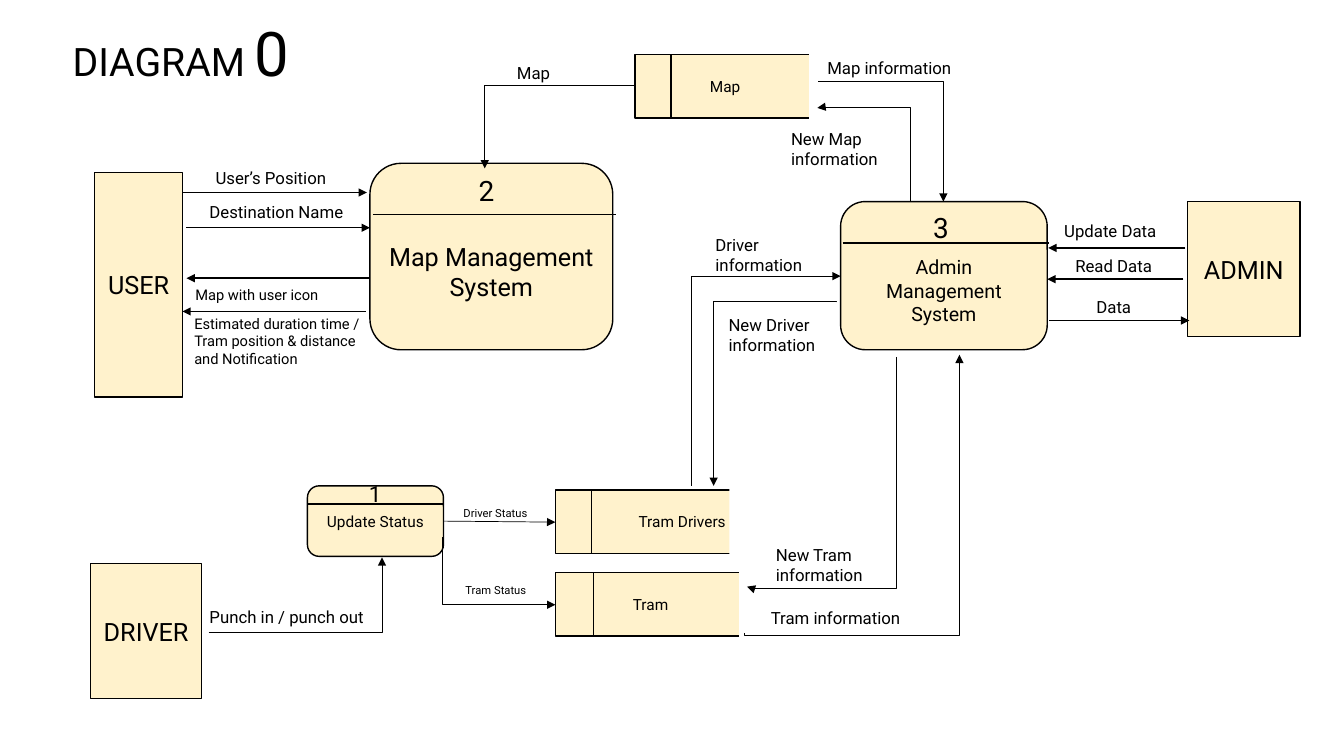
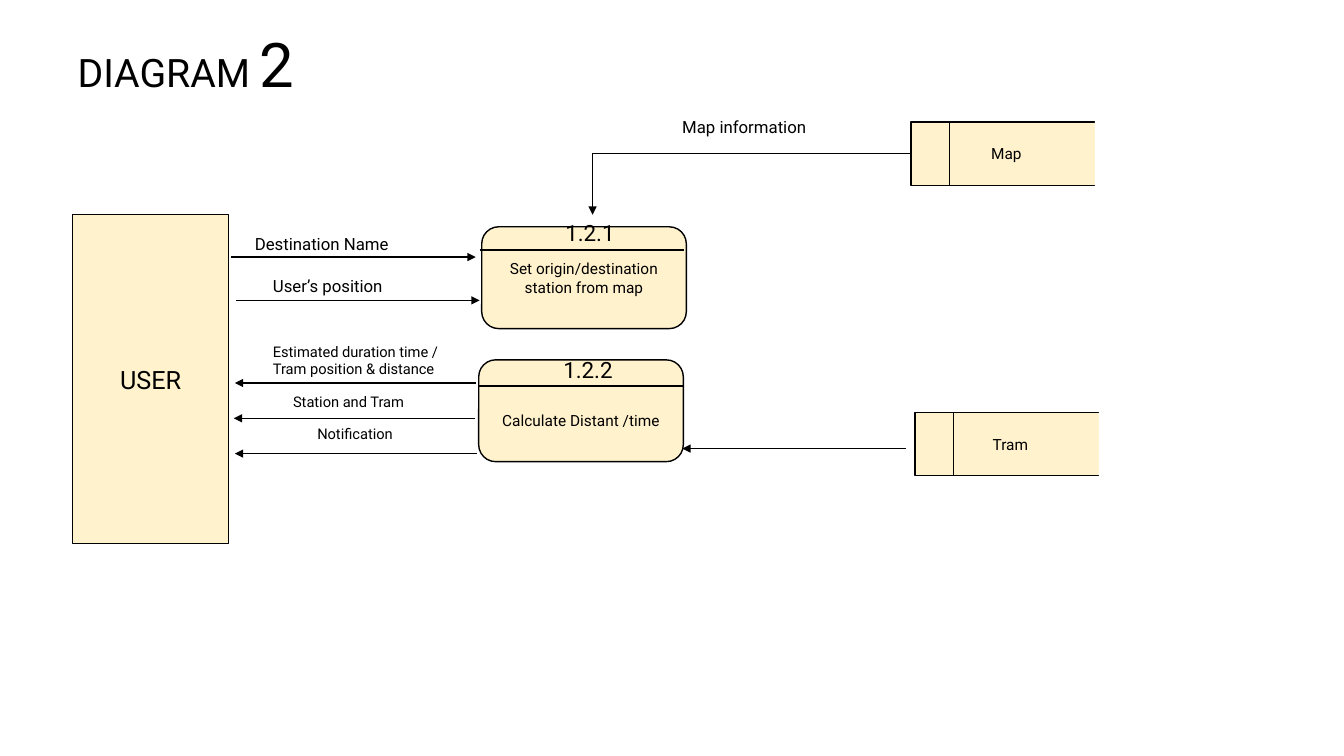
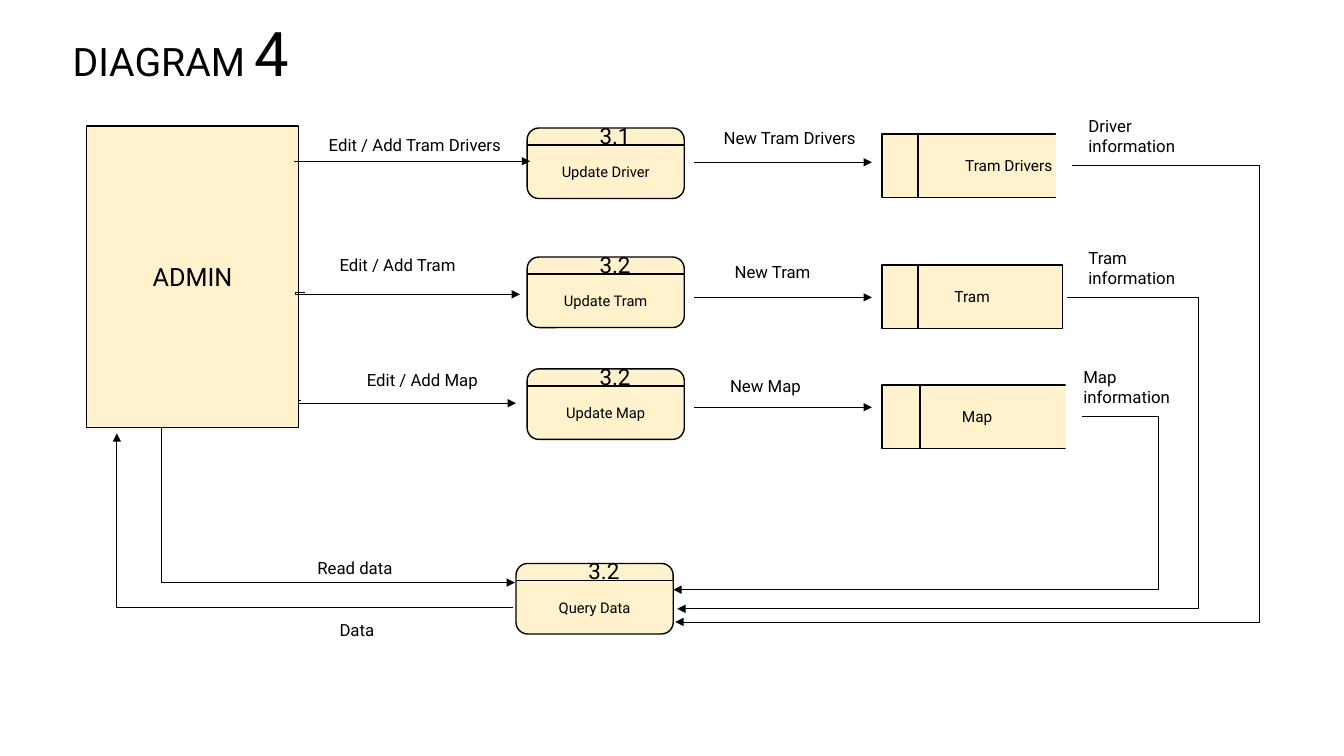
"""Three data-flow diagrams of a tram tracking system."""
from dataclasses import dataclass

from lxml import etree
from pptx import Presentation
from pptx import util as u
from pptx.dml.color import RGBColor
from pptx.enum import shapes, text
from pptx.oxml.ns import qn

UNIT = 2.54  # centimetres in one step of the drawing grid
LEFT, CENTER, RIGHT = text.PP_ALIGN.LEFT, text.PP_ALIGN.CENTER, text.PP_ALIGN.RIGHT
TOP, MIDDLE = text.MSO_ANCHOR.TOP, text.MSO_ANCHOR.MIDDLE


@dataclass(frozen=True)
class Theme:
    """Colours, font, type sizes and line widths of the deck."""
    font: str = "Roboto"
    ink: str = "000000"
    paper: str = "FFFFFF"
    cream: str = "FFF2CC"
    title: float = 28
    title_number: float = 44
    entity: float = 18
    big_number: float = 20
    number: float = 16
    medium: float = 14
    label: float = 12
    body: float = 11
    small: float = 10.5
    tiny: float = 8
    line: float = 1
    thin: float = 0.5


T = Theme()


def grid(value):
    """Turn grid steps into a length."""
    return u.Cm(value * UNIT)


def add_run(p, words, size):
    """Append a run in the deck's font."""
    r = p.add_run()
    r.text = words
    r.font.name = T.font
    r.font.size = u.Pt(size)
    r.font.color.rgb = RGBColor.from_string(T.ink)


def put_text(tf, words, size=T.label, align=LEFT, anchor=TOP, grow=False, lead=0):
    """Fill a text frame; lead is extra room above the text in grid steps."""
    tf.word_wrap = True
    tf.vertical_anchor = anchor
    tf.auto_size = (text.MSO_AUTO_SIZE.SHAPE_TO_FIT_TEXT if grow
                    else text.MSO_AUTO_SIZE.NONE)
    if lead:
        tf.margin_top = grid(0.05 + lead)
    for i, line in enumerate(words.split("\n")):
        p = tf.add_paragraph() if i else tf.paragraphs[0]
        p.alignment = align
        add_run(p, line, size)


class Diagram:
    """Draws the elements of a data-flow diagram on the current slide."""

    def __init__(self, prs):
        """Keep the presentation that receives the slides."""
        self.prs = prs
        self.s = None

    def start(self, number, x, y, w):
        """Open a slide and set its title."""
        self.s = self.prs.slides.add_slide(self.prs.slide_layouts[5])
        sp = self.s.shapes.title
        sp.left, sp.top, sp.width, sp.height = map(grid, (x, y, w, 0.84))
        put_text(sp.text_frame, "DIAGRAM ", size=T.title, grow=True)
        add_run(sp.text_frame.paragraphs[0], number, T.title_number)

    def box(self, x, y, w, h, words="", rounded=False, fill=T.cream,
            outlined=True, **fmt):
        """Draw a filled box with centred text."""
        kind = shapes.MSO_SHAPE.ROUNDED_RECTANGLE if rounded else shapes.MSO_SHAPE.RECTANGLE
        sp = self.s.shapes.add_shape(kind, *map(grid, (x, y, w, h)))
        sp.shadow.inherit = False
        sp.fill.solid()
        sp.fill.fore_color.rgb = RGBColor.from_string(fill)
        if outlined:
            sp.line.color.rgb = RGBColor.from_string(T.ink)
            sp.line.width = u.Pt(T.line)
        else:
            sp.line.fill.background()
        if words:
            put_text(sp.text_frame, words,
                     **{"size": T.entity, "align": CENTER, "anchor": MIDDLE, **fmt})

    def label(self, x, y, w, words, lines=1, size=T.label, align=LEFT):
        """Write a label whose height follows from its lines."""
        h = 0.1 + lines * size * 1.17 / 72
        sp = self.s.shapes.add_textbox(*map(grid, (x, y, w, h)))
        put_text(sp.text_frame, words, size=size, align=align, grow=True)

    def process(self, x, y, w, h, number, words, spot, rule, size=T.small,
                number_size=T.number, shift=0, lead=0):
        """Draw a process; spot is the number's offset and width."""
        self.box(x, y, w, h, words, rounded=True, size=size, lead=lead)
        self.line((x + shift, y + rule), (x + w + shift, y + rule), arrow=False)
        dx, dy, number_w = spot
        self.label(x + dx, y + dy, number_w, number, size=number_size)

    def store(self, x, y, w, words, align=CENTER, is_open=True):
        """Draw a data store, by default with no right edge."""
        h = 0.63
        self.box(x, y, w, h, words, size=T.body, align=align)
        self.line((x + 0.2 * w, y), (x + 0.2 * w, y + h), arrow=False)
        if is_open:
            self.box(x + 0.965 * w, y - 0.02, 0.085 * w, h + 0.03,
                     fill=T.paper, outlined=False)

    def line(self, start, end, arrow=True, width=T.line,
             kind=shapes.MSO_CONNECTOR.STRAIGHT):
        """Draw a connector and return it."""
        c = self.s.shapes.add_connector(kind, *map(grid, (*start, *end)))
        c.line.color.rgb = RGBColor.from_string(T.ink)
        c.line.width = u.Pt(width)
        if arrow:
            etree.SubElement(c.line._get_or_add_ln(), qn("a:tailEnd"), type="triangle")
        etree.SubElement(c._element.spPr, qn("a:effectLst"))
        return c

    def elbow(self, start, end, vertical=False, bend=None):
        """Draw a bent arrow; bend is where a three-part path turns."""
        (x1, y1), (x2, y2) = start, end
        a, b = start, end
        if vertical:  # lay the path on its side, then turn it by 90 degrees
            cx, cy, dx, dy = (x1 + x2) / 2, (y1 + y2) / 2, x2 - x1, y2 - y1
            a, b = (cx - dy / 2, cy + dx / 2), (cx + dy / 2, cy - dx / 2)
        c = self.line(a, b, width=T.thin, kind=shapes.MSO_CONNECTOR.ELBOW)
        sp_pr = c._element.spPr
        if vertical:
            sp_pr.find(qn("a:xfrm")).set("rot", "5400000")
        geom = sp_pr.find(qn("a:prstGeom"))
        if bend is None:
            geom.set("prst", "bentConnector2")
            return
        first, last = (y1, y2) if vertical else (x1, x2)
        share = round((bend - first) / (last - first) * 100000)
        etree.SubElement(geom.find(qn("a:avLst")), qn("a:gd"),
                         name="adj1", fmla=f"val {share}")


def draw_overview(d):
    """Draw the whole system."""
    d.start("0", 0.62, 0.1, 2.58)
    d.box(0.94, 1.71, 0.87, 2.23, "USER")
    d.box(11.78, 2, 1.12, 1.34, "ADMIN")
    d.box(0.9, 5.59, 1.1, 1.34, "DRIVER")
    d.process(3.67, 1.62, 2.41, 1.85, "2", "Map Management\nSystem", (0.98, 0.05, 0.32),
              0.51, size=T.entity, number_size=T.big_number, shift=0.03, lead=0.29)
    d.process(8.34, 2, 2.05, 1.47, "3", "Admin\nManagement\nSystem", (0.82, 0.04, 0.27),
              0.41, size=T.medium, number_size=T.big_number, shift=0.02, lead=0.29)
    d.process(3.05, 4.82, 1.35, 0.7, "1", "Update Status", (0.55, -0.11, 0.16),
              0.18, size=T.body)
    d.store(5.51, 4.86, 1.79, "Tram Drivers", align=RIGHT)
    d.store(5.51, 5.68, 1.89, "Tram")
    d.store(6.3, 0.54, 1.79, "Map")

    for start, end in (
            ((1.81, 1.91), (3.64, 1.91)), ((1.85, 2.26), (3.67, 2.26)),
            ((3.67, 2.76), (1.85, 2.76)), ((3.63, 3.09), (1.81, 3.09)),
            ((11.76, 2.46), (10.4, 2.46)), ((11.74, 2.77), (10.39, 2.77)),
            ((10.41, 3.18), (11.8, 3.18))):
        d.line(start, end)
    d.line((4.4, 5.17), (5.51, 5.18), width=T.thin)

    d.elbow((2.07, 6.27), (3.79, 5.53))
    d.elbow((4.4, 5.33), (5.51, 6), bend=4.39)
    d.elbow((6.3, 0.85), (4.81, 1.67))
    d.elbow((8.12, 0.81), (9.36, 2))
    d.elbow((6.86, 4.82), (8.34, 2.74), vertical=True)
    d.elbow((7.39, 6.28), (9.52, 3.52), vertical=True, bend=6.3)
    d.elbow((9.03, 2), (8.11, 1.07), vertical=True, bend=1.06)
    d.elbow((8.3, 3), (7.08, 4.82), vertical=True, bend=2.99)
    d.elbow((8.89, 3.54), (7.41, 5.82), vertical=True, bend=5.84)

    for x, y, w, words in (
            (2.04, 1.61, 1.37, "User’s Position"), (1.98, 1.95, 1.66, "Destination Name"),
            (1.98, 5.97, 2.02, "Punch in / punch out"), (5.03, 0.57, 0.92, "Map"),
            (8.11, 0.52, 1.84, "Map information"), (7.55, 5.98, 1.73, "Tram information"),
            (10.46, 2.14, 1.38, "Update Data"), (10.57, 2.49, 1.25, "Read Data"),
            (10.78, 2.89, 0.67, "Data")):
        d.label(x, y, w, words)
    for x, y, w, words in (
            (7, 2.28, 1.25, "Driver information"), (7.75, 1.23, 1.32, "New Map information"),
            (7.13, 3.07, 1.25, "New Driver information"),
            (7.6, 5.35, 1.25, "New Tram information")):
        d.label(x, y, w, words, lines=2)
    d.label(1.84, 2.79, 1.66, "Map with user icon", size=T.small)
    d.label(1.83, 3.07, 1.94, "Estimated duration time /\n"
            "Tram position & distance and Notification", lines=3, size=T.small)
    d.label(4.5, 4.97, 0.93, "Driver Status", size=T.tiny)
    d.label(4.52, 5.74, 0.93, "Tram Status", size=T.tiny)


def draw_map_management(d):
    """Draw how the user's trip is worked out."""
    d.start("2", 0.67, 0.21, 3.27)
    d.box(0.72, 2.13, 1.55, 3.26, "USER")
    d.process(4.78, 2.25, 2.03, 1.01, "1.2.1", "Set origin/destination station from map",
              (0.73, -0.12, 0.75), 0.23, size=T.body, shift=-0.02)
    d.process(4.75, 3.57, 2.03, 1.01, "1.2.2", "Calculate Distant /time",
              (0.74, -0.09, 0.75), 0.26, size=T.body, lead=0.18)
    d.store(9.04, 1.21, 1.89, "Map")
    d.store(9.08, 4.09, 1.89, "Tram")

    for start, end in (
            ((2.29, 2.55), (4.72, 2.55)), ((2.34, 2.98), (4.76, 2.98)),
            ((4.72, 3.8), (2.33, 3.8)), ((4.71, 4.15), (2.32, 4.15)),
            ((4.73, 4.5), (2.33, 4.5)), ((8.99, 4.45), (6.77, 4.45))):
        d.line(start, end)
    d.elbow((9.04, 1.52), (5.88, 2.13))

    d.label(2.43, 2.27, 2.44, "Destination Name")
    d.label(2.61, 2.69, 1.55, "User’s position")
    d.label(6.67, 1.11, 1.72, "Map information")
    d.label(2.61, 3.35, 1.94, "Estimated duration time /\nTram position & distance",
            lines=2, size=T.small)
    d.label(2.81, 3.85, 1.94, "Station and Tram", size=T.small)
    d.label(3.05, 4.17, 1.94, "Notification", size=T.small)


def draw_admin_management(d):
    """Draw how the admin edits and reads the data."""
    d.start("4", 0.62, 0.1, 2.58)
    d.box(0.86, 1.25, 2.1, 2.99, "ADMIN")
    for x, y, number, words in (
            (5.23, 1.27, "3.1", "Update Driver"), (5.23, 2.55, "3.2", "Update Tram"),
            (5.23, 3.66, "3.2", "Update Map"), (5.12, 5.59, "3.2", "Query Data")):
        d.process(x, y, 1.56, 0.7, number, words, (0.62, -0.11, 0.53), 0.17, lead=0.17)
    d.store(8.75, 1.33, 1.79, "Tram Drivers", align=RIGHT)
    d.store(8.75, 2.63, 1.79, "Tram", is_open=False)
    d.store(8.75, 3.82, 1.89, "Map")

    for y in (1.61, 2.95, 4.04):
        d.line((6.89, y), (8.65, y))
    d.line((2.92, 1.6), (5.26, 1.6), width=T.thin)
    for start, end, bend in (
            ((3.03, 2.9), (5.16, 2.92), 2.93), ((2.99, 3.97), (5.12, 4), 2.96),
            ((10.74, 4.13), (6.68, 5.85), 11.49), ((10.59, 2.95), (6.72, 6.04), 11.89),
            ((10.64, 1.64), (6.7, 6.17), 12.5), ((1.58, 4.24), (5.11, 5.78), 1.6)):
        d.elbow(start, end, bend=bend)
    d.elbow((5.09, 6.03), (1.16, 4.3))

    for x, y, words in ((10.7, 1.1, "Driver information"), (10.7, 2.41, "Tram information"),
                        (10.65, 3.59, "Map information")):
        d.label(x, y, 1.25, words, lines=2)
    d.label(3.05, 5.48, 1.11, "Read data")
    d.label(3.27, 6.1, 0.68, "Data")
    d.label(6.79, 3.68, 1.61, "New Map", align=CENTER)
    for x, y, w, words in (
            (6.83, 1.22, 1.76, "New Tram Drivers"), (6.95, 2.55, 1.19, "New Tram"),
            (2.97, 1.29, 2.1, "Edit / Add Tram Drivers"),
            (3.06, 2.48, 1.56, "Edit / Add Tram"), (2.74, 3.62, 2.1, "Edit / Add Map")):
        d.label(x, y, w, words, align=RIGHT)


def main():
    """Build and save the deck."""
    prs = Presentation()
    prs.slide_width, prs.slide_height = u.Cm(33.87), u.Cm(19.05)
    d = Diagram(prs)
    draw_overview(d)
    draw_map_management(d)
    draw_admin_management(d)
    prs.save("out.pptx")


main()
